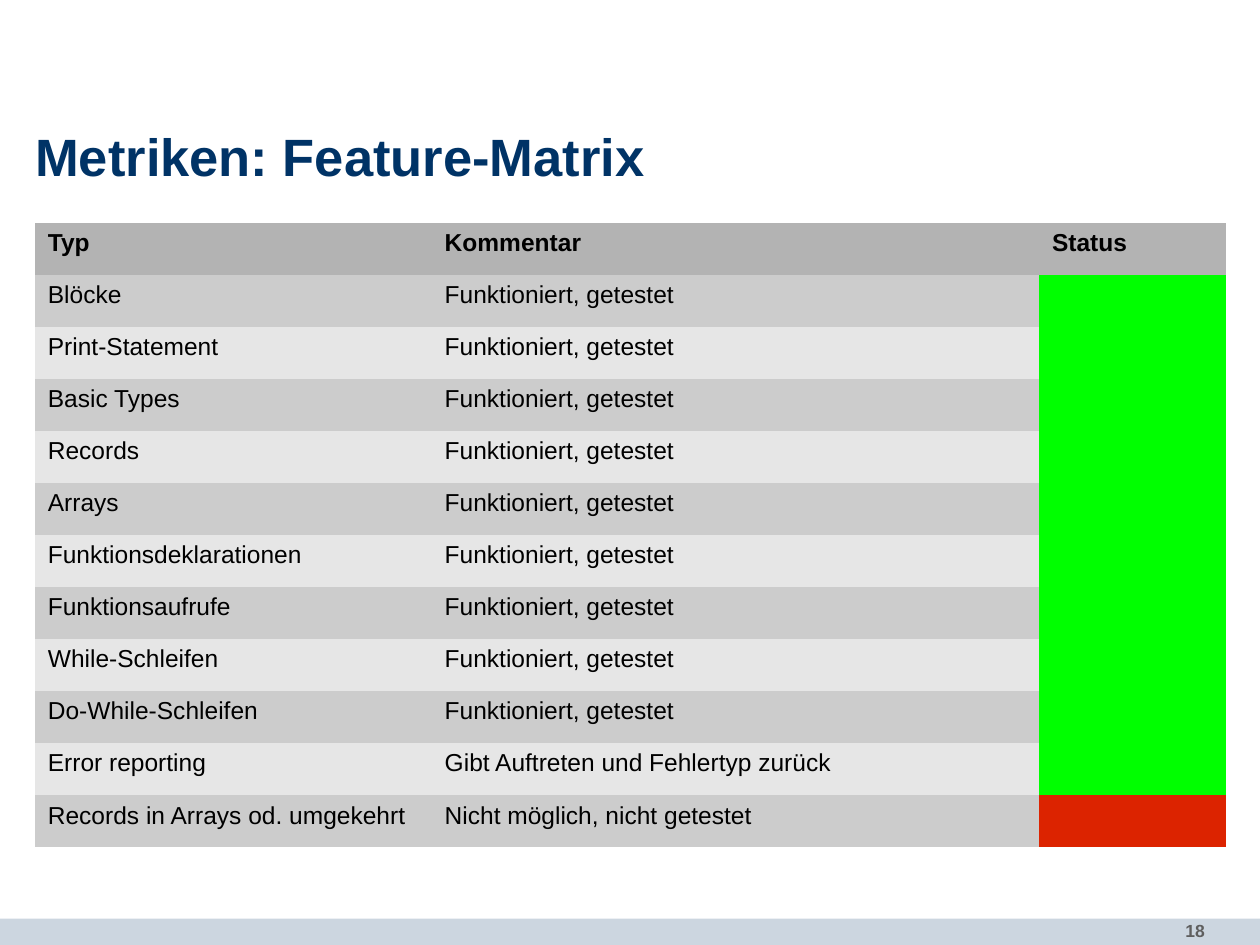
from dataclasses import dataclass

from pptx import Presentation
from pptx import util as u
from pptx.dml.color import RGBColor
from pptx.enum import shapes, text


@dataclass(frozen=True)
class Theme:
    font: str = "Arial"
    title: str = "003366"
    body: str = "000000"
    number: str = "5F5F5F"
    footer: str = "CCD6E0"
    header: str = "B3B3B3"
    bands: tuple = ("CCCCCC", "E6E6E6")
    done: str = "00FF00"
    failed: str = "DC2300"
    title_size: int = 30
    body_size: int = 14
    number_size: int = 10


THEME = Theme()
WIDTH, HEIGHT = u.Inches(10), u.Inches(7.5)
MARGIN, CONTENT = 0.28, 9.45
PLAIN_TABLE = "{2D5ABB26-0587-4C30-8999-92F81FD0307C}"
COLUMN_SHARES = (3.15, 4.82, 1.48)
HEADINGS = ("Typ", "Kommentar", "Status")
TESTED = "Funktioniert, getestet"
FEATURES = [(feature, TESTED, True) for feature in (
    "Blöcke", "Print-Statement", "Basic Types", "Records", "Arrays",
    "Funktionsdeklarationen", "Funktionsaufrufe", "While-Schleifen",
    "Do-While-Schleifen")] + [
    ("Error reporting", "Gibt Auftreten und Fehlertyp zurück", True),
    ("Records in Arrays od. umgekehrt", "Nicht möglich, nicht getestet", False),
]


def box(left, top, width, height):
    return tuple(u.Inches(length) for length in (left, top, width, height))


def paint(target, color):
    target.fill.solid()
    target.fill.fore_color.rgb = RGBColor.from_string(color)


def write(frame, words, size, color, bold=False, align=text.PP_ALIGN.LEFT):
    paragraph = frame.paragraphs[0]
    paragraph.alignment = align
    run = paragraph.add_run()
    run.text = words
    formats = {"name": THEME.font, "size": u.Pt(size), "bold": bold}
    for attribute, value in formats.items():
        setattr(run.font, attribute, value)
    run.font.color.rgb = RGBColor.from_string(color)


def add_title(slide, area, words):
    title = slide.shapes.title
    title.left, title.top, title.width, title.height = area
    frame = title.text_frame
    formats = {"margin_left": 0, "margin_right": 0, "margin_top": 0,
               "margin_bottom": 0, "word_wrap": True,
               "auto_size": text.MSO_AUTO_SIZE.NONE,
               "vertical_anchor": text.MSO_ANCHOR.MIDDLE}
    for attribute, value in formats.items():
        setattr(frame, attribute, value)
    write(frame, words, THEME.title_size, THEME.title, bold=True)


def add_feature_matrix(slide, area):
    width, height = area[2:]
    row_count = len(FEATURES) + 1
    frame = slide.shapes.add_table(row_count, len(HEADINGS), *area)
    matrix = frame.table
    matrix._tbl.tblPr.find("{*}tableStyleId").text = PLAIN_TABLE
    for column, share in zip(matrix.columns, COLUMN_SHARES):
        column.width = int(width * share / sum(COLUMN_SHARES))
    for row in matrix.rows:
        row.height = int(height / row_count)

    # Header row
    for column, heading in enumerate(HEADINGS):
        cell = matrix.cell(0, column)
        paint(cell, THEME.header)
        write(cell.text_frame, heading, THEME.body_size, THEME.body, bold=True)

    # Banded feature rows with a status colour
    for index, (feature, comment, works) in enumerate(FEATURES):
        for column, words in enumerate((feature, comment)):
            cell = matrix.cell(index + 1, column)
            paint(cell, THEME.bands[index % 2])
            write(cell.text_frame, words, THEME.body_size, THEME.body)
        paint(matrix.cell(index + 1, 2), THEME.done if works else THEME.failed)


def add_footer(slide, area, number):
    left, top, width, height = area
    bar = slide.shapes.add_shape(shapes.MSO_SHAPE.RECTANGLE, *area)
    bar.shadow.inherit = False
    paint(bar, THEME.footer)
    bar.line.fill.background()

    # Page number
    page = slide.shapes.add_textbox(
        left + int(width * 0.832), top - u.Inches(0.04),
        int(width * 0.134), height + u.Inches(0.05))
    page.text_frame.word_wrap = True
    write(page.text_frame, number, THEME.number_size, THEME.number,
          bold=True, align=text.PP_ALIGN.RIGHT)


def main():
    deck = Presentation()
    deck.slide_width, deck.slide_height = WIDTH, HEIGHT
    slide = deck.slides.add_slide(deck.slide_layouts.get_by_name("Title Only"))
    add_footer(slide, box(0, 7.29, 10, 0.21), "18")
    add_title(slide, box(MARGIN, 1, CONTENT, 0.47), "Metriken: Feature-Matrix")
    add_feature_matrix(slide, box(MARGIN, 1.77, CONTENT, 4.96))
    deck.save("out.pptx")


if __name__ == "__main__":
    main()
